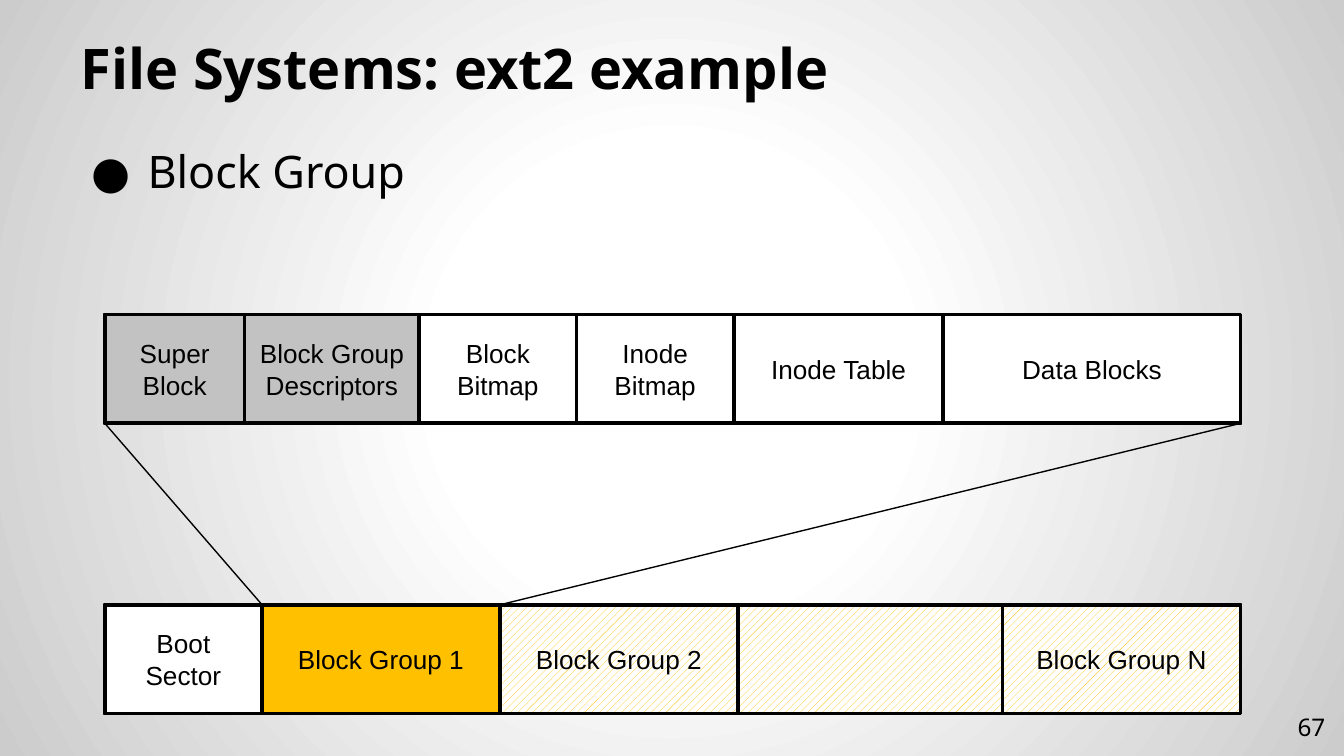
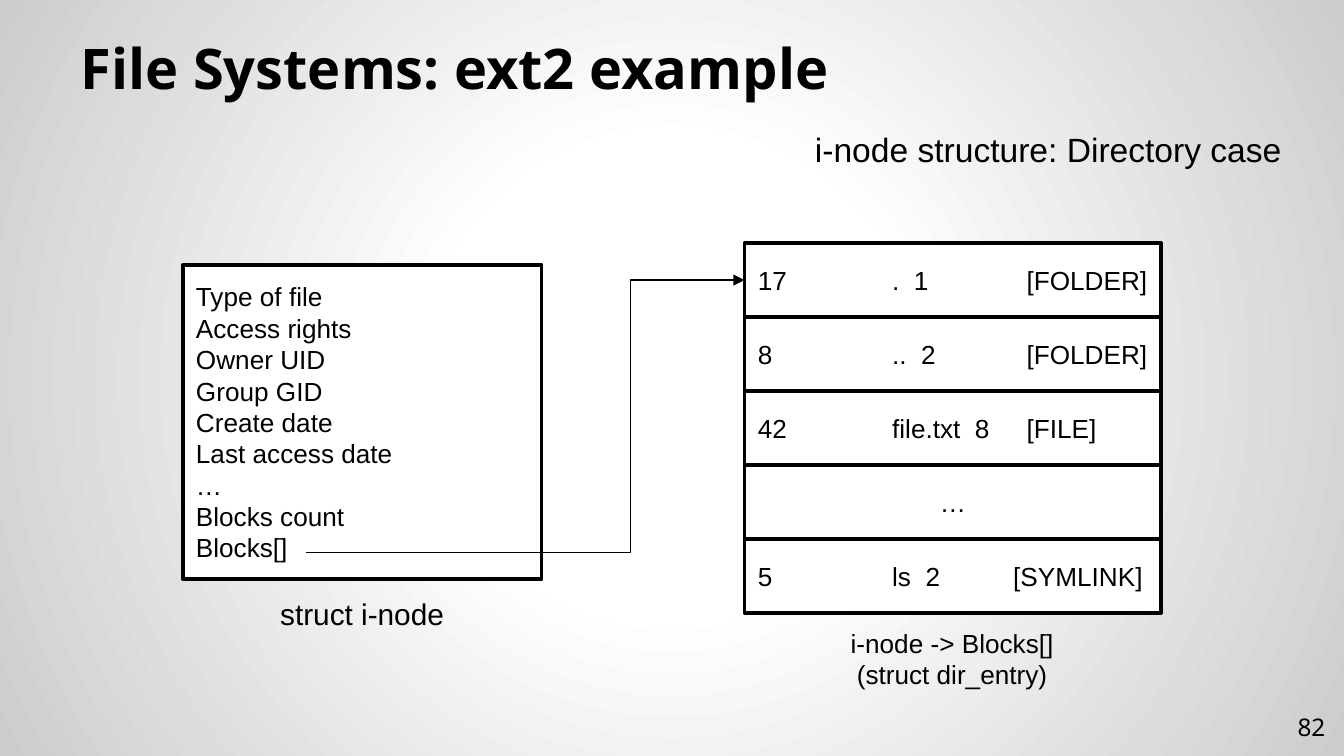
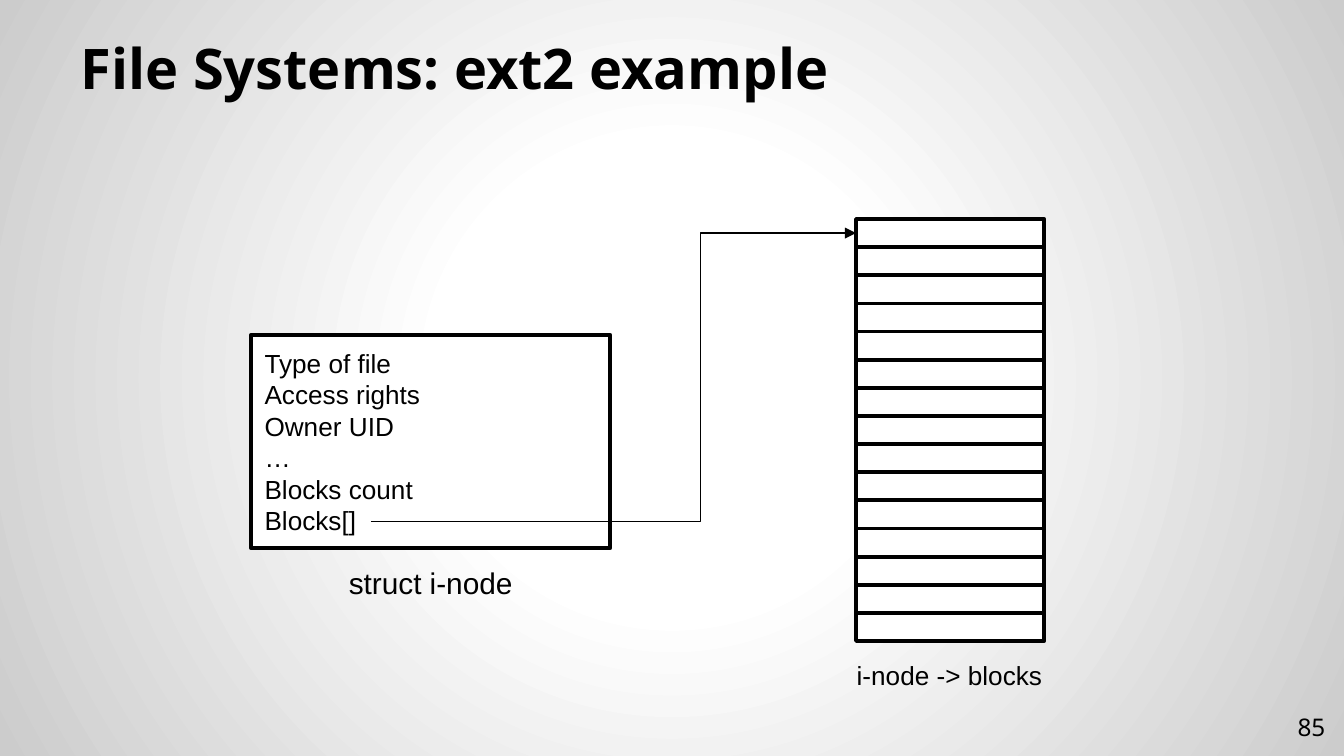
from pptx import Presentation
from pptx.dml.color import RGBColor
from pptx.enum.dml import MSO_PATTERN
from pptx.enum.shapes import MSO_CONNECTOR as Connector, MSO_SHAPE as Shape
from pptx.enum.text import MSO_ANCHOR as Anchor, MSO_AUTO_SIZE as AutoSize, PP_ALIGN as Align
from pptx.oxml import parse_xml
from pptx.oxml.ns import nsdecls
from pptx.oxml.xmlchemy import OxmlElement
from pptx.util import Inches, Pt

BLACK, WHITE, GREY, AMBER = "000000", "FFFFFF", "C2C2C2", "FFC000"
BACKDROP = [(0, WHITE), (30, WHITE), (100, "CCCCCC")]
HEADING_FONT, LABEL_FONT = "Noto Sans", "Arial"
TITLE = "File Systems: ext2 example"


# Shared helpers
def color(hex_value):
    return RGBColor.from_string(hex_value)


def add_element(parent, tag, **attributes):
    element = OxmlElement(tag)
    for name, value in attributes.items():
        element.set(name, str(value))
    parent.append(element)
    return element


def write(shape, text, size, font=LABEL_FONT, align=Align.LEFT, anchor=Anchor.TOP,
          bold=False, inset=None):
    frame = shape.text_frame
    frame.text = text
    frame.word_wrap = True
    frame.auto_size = AutoSize.NONE
    frame.vertical_anchor = anchor
    if inset is not None:
        frame.margin_left = frame.margin_right = Inches(inset)
        frame.margin_top = frame.margin_bottom = Inches(inset)
    for paragraph in frame.paragraphs:
        paragraph.alignment = align
        for run in paragraph.runs:
            run.font.name = font
            run.font.size = Pt(size)
            run.font.bold = bold
            run.font.color.rgb = color(BLACK)


def add_label(slide, box, text, size, **style):
    label = slide.shapes.add_textbox(*map(Inches, box))
    write(label, text, size, **style)
    return label


def add_box(slide, box, text="", fill=WHITE, hatched=False, align=Align.CENTER):
    shape = slide.shapes.add_shape(Shape.RECTANGLE, *map(Inches, box))
    shape.shadow.inherit = False
    if fill is None:
        shape.fill.background()
    elif hatched:
        shape.fill.patterned()
        shape.fill.pattern = MSO_PATTERN.WIDE_UPWARD_DIAGONAL
        shape.fill.fore_color.rgb = color(fill)
        shape.fill.back_color.rgb = color(WHITE)
    else:
        shape.fill.solid()
        shape.fill.fore_color.rgb = color(fill)
    shape.line.color.rgb = color(BLACK)
    shape.line.width = Pt(2)
    if text:
        write(shape, text, 14, align=align, anchor=Anchor.MIDDLE)
    return shape


def add_line(slide, kind, start, end):
    line = slide.shapes.add_connector(kind, *map(Inches, (*start, *end)))
    line.line.color.rgb = color(BLACK)
    line.line.width = Pt(0.75)
    add_element(line._element.spPr, "a:effectLst")
    return line


def set_backdrop(presentation):
    master = presentation.slide_master
    master.background.fill.gradient()
    gradient = master.element.xpath("p:cSld/p:bg//a:gradFill")[0]
    stops = "".join(f'<a:gs pos="{position * 1000}"><a:srgbClr val="{value}"/></a:gs>'
                    for position, value in BACKDROP)
    radial = parse_xml(
        f'<a:gradFill {nsdecls("a")}><a:gsLst>{stops}</a:gsLst><a:path path="circle">'
        '<a:fillToRect l="50000" t="50000" r="50000" b="50000"/></a:path></a:gradFill>')
    gradient.getparent().replace(gradient, radial)


def add_slide(presentation, number):
    slide = presentation.slides.add_slide(presentation.slide_layouts[5])
    title = slide.shapes.title
    title.left, title.top, title.width, title.height = map(Inches, (0.5, 0.23, 9, 0.62))
    write(title, TITLE, 30, font=HEADING_FONT, bold=True, anchor=Anchor.BOTTOM, inset=0.1)
    add_label(slide, (9.36, 5.19, 0.6, 0.43), str(number), 13, font=HEADING_FONT,
              align=Align.RIGHT, anchor=Anchor.MIDDLE, inset=0.1)
    return slide


# Regions
def add_bullet(slide, box, text):
    body = add_label(slide, box, text, 24, font=HEADING_FONT, inset=0.1)
    properties = body.text_frame.paragraphs[0]._p.get_or_add_pPr()
    properties.set("marL", str(Inches(0.5)))
    properties.set("indent", str(Inches(-0.42)))
    add_element(properties, "a:buFont", typeface=HEADING_FONT)
    add_element(properties, "a:buChar", char="●")


def add_strip(slide, box, cells):
    """Lay cells (text, width, fill, hatched) side by side inside a frame."""
    left, top, _, height = box
    add_box(slide, box, fill=None)
    for text, width, fill, hatched in cells:
        add_box(slide, (left, top, width, height), text, fill, hatched)
        left += width


def add_inode(slide, box, fields):
    left, top, width, height = box
    add_box(slide, box, "\n".join(fields), align=Align.LEFT)
    add_label(slide, (left, top + height + 0.07, width, 0.37), "struct i-node", 16,
              align=Align.CENTER)


def add_stack(slide, box, count):
    left, top, width, height = box
    pitch = height / count
    return [add_box(slide, (left, top + index * pitch, width, pitch))
            for index in range(count)]


def fill_entry(row, text, stops):
    align = Align.JUSTIFY if stops else Align.CENTER
    write(row, text, 14, align=align, anchor=Anchor.MIDDLE)
    if stops:
        properties = row.text_frame.paragraphs[0]._p.get_or_add_pPr()
        tabs = add_element(properties, "a:tabLst")
        for stop in stops:
            add_element(tabs, "a:tab", pos=Inches(stop), algn="l")


def add_pointer(slide, start, row, bend):
    """Run an elbow arrow from start to the left side of row."""
    end = row.left.inches, (row.top + row.height // 2) / Inches(1)
    pointer = add_line(slide, Connector.ELBOW, start, end)
    pointer.end_connect(row, 1)
    geometry = pointer._element.spPr.prstGeom
    add_element(geometry.get_or_add_avLst(), "a:gd", name="adj1",
                fmla=f"val {round(bend * 100000)}")
    add_element(pointer.line._get_or_add_ln(), "a:tailEnd", type="triangle")


# Slides
def build_block_group(presentation):
    slide = add_slide(presentation, 67)
    add_bullet(slide, (0.5, 0.97, 9, 4.41), "Block Group")
    left, width, height = 0.78, 8.45, 0.81
    group_top, disk_top = 2.34, 4.5
    add_strip(slide, (left, group_top, width, height), [
        ("Super Block", 1.04, GREY, False),
        ("Block Group Descriptors", 1.3, GREY, False),
        ("Block Bitmap", 1.17, WHITE, False),
        ("Inode Bitmap", 1.17, WHITE, False),
        ("Inode Table", 1.56, WHITE, False),
        ("Data Blocks", 2.21, WHITE, False),
    ])
    add_strip(slide, (left, disk_top, width, height), [
        ("Boot Sector", 1.17, WHITE, False),
        ("Block Group 1", 1.77, AMBER, False),
        ("Block Group 2", 1.77, AMBER, True),
        ("", 1.97, AMBER, True),
        ("Block Group N", 1.77, AMBER, True),
    ])
    for disk_x, group_x in [(1.95, left), (3.72, left + width)]:
        add_line(slide, Connector.STRAIGHT, (disk_x, disk_top), (group_x, group_top + height))


def build_directory(presentation):
    slide = add_slide(presentation, 82)
    add_label(slide, (5.94, 0.91, 3.72, 0.4), "i-node structure: Directory case", 18,
              align=Align.CENTER)
    add_inode(slide, (1.36, 1.97, 2.67, 2.34), [
        "Type of file", "Access rights", "Owner UID", "Group GID", "Create date",
        "Last access date", "…", "Blocks count", "Blocks[]"])
    entries = [
        ("17\t.  1\t[FOLDER]", (1, 2)),
        ("8\t..  2\t[FOLDER]", (1, 2)),
        ("42\tfile.txt  8\t[FILE]", (1, 2)),
        ("…", ()),
        ("5\tls  2\t[SYMLINK]", (1, 1.9)),
    ]
    rows = add_stack(slide, (5.54, 1.81, 3.1, 2.75), len(entries))
    for row, (text, stops) in zip(rows, entries):
        fill_entry(row, text, stops)
    add_label(slide, (6.03, 4.62, 2.11, 0.57), "i-node -> Blocks[]\n(struct dir_entry)", 14,
              align=Align.CENTER)
    add_pointer(slide, (2.28, 4.11), rows[0], 0.74)


def build_blocks(presentation):
    slide = add_slide(presentation, 85)
    rows = add_stack(slide, (6.37, 1.63, 1.4, 3.14), 15)
    add_label(slide, (6.01, 4.86, 2.11, 0.34), "i-node -> blocks", 14, align=Align.CENTER)
    add_inode(slide, (1.87, 2.49, 2.67, 1.59), [
        "Type of file", "Access rights", "Owner UID", "…", "Blocks count", "Blocks[]"])
    add_pointer(slide, (2.76, 3.88), rows[0], 0.68)


def main():
    presentation = Presentation()
    presentation.slide_width = Inches(10)
    presentation.slide_height = presentation.slide_width * 9 // 16
    set_backdrop(presentation)
    build_block_group(presentation)
    build_directory(presentation)
    build_blocks(presentation)
    presentation.save("out.pptx")


if __name__ == "__main__":
    main()
